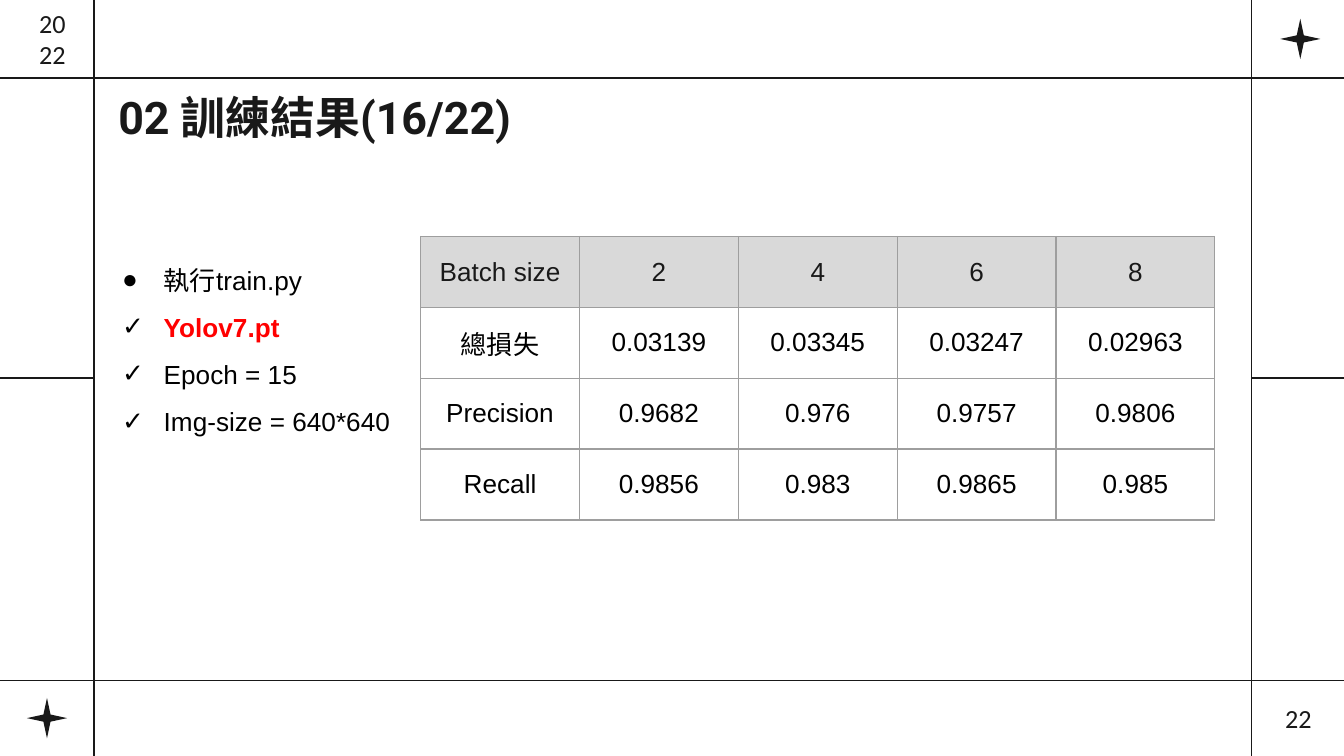
from dataclasses import dataclass

import lxml.etree
import pptx
import pptx.dml.color
import pptx.enum.shapes
import pptx.enum.text
import pptx.oxml
import pptx.oxml.ns
import pptx.util

ALIGN = pptx.enum.text.PP_ALIGN
ANCHOR = pptx.enum.text.MSO_ANCHOR
Inches = pptx.util.Inches


@dataclass(frozen=True)
class Theme:
    ink: str = "191919"
    text: str = "000000"
    accent: str = "FF0000"
    header: str = "D9D9D9"
    paper: str = "FFFFFF"
    border: str = "9E9E9E"
    title_size: int = 24
    body_size: int = 14
    line_width: float = 0.75
    title_font: str = "Roboto"
    body_font: str = "Arial"
    number_font: str = "Calibri"


THEME = Theme()
WIDTH = 10
HEIGHT = WIDTH * 9 / 16
# Frame lines: left and right columns, top and bottom rows
LEFT, RIGHT = 0.07 * WIDTH, 0.931 * WIDTH
TOP, BOTTOM = 0.58, 0.9 * HEIGHT
MIDDLE = HEIGHT / 2
BLEED = 0.04
STAR = 0.3


def rgb(value):
    return pptx.dml.color.RGBColor.from_string(value)


def add_element(parent, tag, **attributes):
    element = lxml.etree.SubElement(parent, pptx.oxml.ns.qn(tag))
    for name, value in attributes.items():
        element.set(name, str(value))
    return element


def write_text(paragraph, text, font=THEME.body_font, size=THEME.body_size,
               color=THEME.text, bold=False, align=ALIGN.LEFT):
    paragraph.alignment = align
    run = paragraph.add_run()
    run.text = text
    run.font.name = font
    run.font.size = pptx.util.Pt(size)
    run.font.bold = bold
    run.font.color.rgb = rgb(color)


def set_frame(shape, anchor, margin):
    frame = shape.text_frame
    frame.word_wrap = True
    frame.auto_size = pptx.enum.text.MSO_AUTO_SIZE.NONE
    frame.vertical_anchor = anchor
    frame.margin_left = frame.margin_right = Inches(0.1)
    frame.margin_top = frame.margin_bottom = Inches(margin)
    return frame


def add_text_box(slide, box, anchor=ANCHOR.TOP, margin=0.1):
    shape = slide.shapes.add_textbox(*map(Inches, box))
    return set_frame(shape, anchor, margin)


def next_paragraph(frame, index):
    return frame.add_paragraph() if index else frame.paragraphs[0]


def add_line(slide, *ends):
    line = slide.shapes.add_connector(
        pptx.enum.shapes.MSO_CONNECTOR.STRAIGHT, *map(Inches, ends))
    line.line.color.rgb = rgb(THEME.ink)
    line.line.width = pptx.util.Pt(THEME.line_width)
    add_element(line._element.spPr, "a:effectLst")


def add_star(slide, box):
    left, top, width, height = box
    star = slide.shapes.add_shape(
        pptx.enum.shapes.MSO_SHAPE.STAR_4_POINT,
        Inches(left + (width - STAR) / 2), Inches(top + (height - STAR) / 2),
        Inches(STAR), Inches(STAR))
    star.adjustments[0] = 0.125
    star.shadow.inherit = False
    star.fill.solid()
    star.fill.fore_color.rgb = rgb(THEME.ink)
    star.line.fill.background()


def add_page_frame(slide, box):
    left, top, width, height = box
    right, bottom = left + width, top + height
    for x in (LEFT, RIGHT):
        add_line(slide, x, top - BLEED, x, bottom + BLEED)
    for y in (TOP, BOTTOM):
        add_line(slide, left - BLEED, y, right + BLEED, y)
    for start, end in ((left, LEFT), (RIGHT, right)):
        add_line(slide, start, MIDDLE, end, MIDDLE)
    add_star(slide, (RIGHT + 0.02, top, right - RIGHT, TOP))
    add_star(slide, (left, BOTTOM, LEFT, bottom - BOTTOM))


def add_title(slide, box, text):
    title = slide.shapes.title
    title.left, title.top, title.width, title.height = map(Inches, box)
    frame = set_frame(title, ANCHOR.TOP, 0.1)
    write_text(frame.paragraphs[0], text, font=THEME.title_font,
               size=THEME.title_size, color=THEME.ink, bold=True)


def add_corner_text(slide, box, lines):
    frame = add_text_box(slide, box, anchor=ANCHOR.MIDDLE)
    for index, text in enumerate(lines):
        write_text(next_paragraph(frame, index), text, font=THEME.number_font,
                   color=THEME.ink, align=ALIGN.CENTER)


def add_bullets(slide, box, items):
    frame = add_text_box(slide, box, margin=0.05)
    for index, (mark, text, style) in enumerate(items):
        paragraph = next_paragraph(frame, index)
        paragraph.line_spacing = 1.5
        properties = paragraph._p.get_or_add_pPr()
        properties.set("marL", str(Inches(0.31)))
        properties.set("indent", str(-Inches(0.31)))
        color = add_element(properties, "a:buClr")
        add_element(color, "a:srgbClr", val=THEME.text)
        add_element(properties, "a:buFont", typeface=THEME.body_font)
        add_element(properties, "a:buChar", char=mark)
        write_text(paragraph, text, **style)


def format_cell(cell, fill):
    properties = cell._tc.get_or_add_tcPr()
    for side in ("a:lnL", "a:lnR", "a:lnT", "a:lnB"):
        border = add_element(properties, side, w=pptx.util.Pt(THEME.line_width))
        add_element(add_element(border, "a:solidFill"), "a:srgbClr",
                    val=THEME.border)
    cell.fill.solid()
    cell.fill.fore_color.rgb = rgb(fill)
    cell.vertical_anchor = ANCHOR.MIDDLE


def add_results_table(slide, box, rows):
    table = slide.shapes.add_table(
        len(rows), len(rows[0]), *map(Inches, box)).table
    table.first_row = table.horz_banding = False
    for row_index, row in enumerate(rows):
        is_header = row_index == 0
        for column_index, text in enumerate(row):
            cell = table.cell(row_index, column_index)
            format_cell(cell, THEME.header if is_header else THEME.paper)
            write_text(cell.text_frame.paragraphs[0], text, align=ALIGN.CENTER,
                       color=THEME.ink if is_header else THEME.text)


def main():
    presentation = pptx.Presentation()
    presentation.slide_width = Inches(WIDTH)
    presentation.slide_height = Inches(HEIGHT)
    slide = presentation.slides.add_slide(presentation.slide_layouts[5])

    # Frame and title
    add_page_frame(slide, (0, 0, WIDTH, HEIGHT))
    add_title(slide, (0.78, 0.57, 3.95, 0.47), "02 訓練結果(16/22)")

    # Year and page number in the corners
    add_corner_text(slide, (0, -0.01, 0.78, 0.59), ["20", "22"])
    add_corner_text(slide, (9.32, 5.05, 0.68, 0.59), ["22"])

    # Training results by batch size
    add_results_table(slide, (3.13, 1.76, 5.91, 2.11), [
        ["Batch size", "2", "4", "6", "8"],
        ["總損失", "0.03139", "0.03345", "0.03247", "0.02963"],
        ["Precision", "0.9682", "0.976", "0.9757", "0.9806"],
        ["Recall", "0.9856", "0.983", "0.9865", "0.985"],
    ])

    # Training settings
    add_bullets(slide, (0.81, 1.8, 2.32, 1.47), [
        ("●", "執行train.py", {}),
        ("✓", "Yolov7.pt", {"color": THEME.accent, "bold": True}),
        ("✓", "Epoch = 15", {}),
        ("✓", "Img-size = 640*640", {}),
    ])

    presentation.save("out.pptx")


if __name__ == "__main__":
    main()
